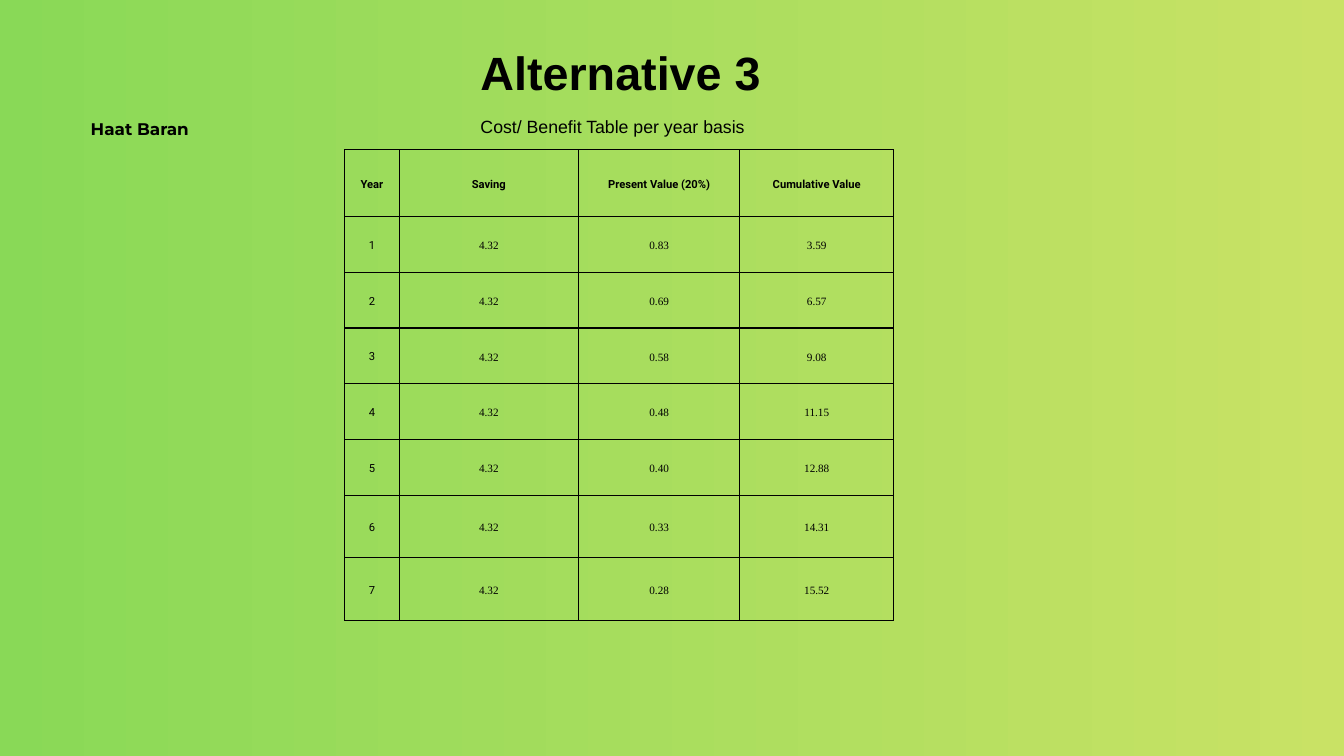
from dataclasses import dataclass

from lxml import etree
from pptx import Presentation
from pptx import util as u
from pptx.dml.color import RGBColor
from pptx.enum import text
from pptx.oxml.ns import qn

WIDTH, HEIGHT = u.Inches(20), u.Inches(11.25)
BLACK = "000000"
CENTER, JUSTIFY = text.PP_ALIGN.CENTER, text.PP_ALIGN.JUSTIFY


@dataclass
class Box:
    left: float
    top: float
    width: float
    height: float

    def emu(self) -> tuple:
        return across(self.left), down(self.top), across(self.width), down(self.height)


@dataclass
class Style:
    font: str
    size: float
    spacing: float
    align: text.PP_ALIGN
    bold: bool = False


NAME = Style("Montserrat", 18, 25.1, CENTER, True)
TITLE = Style("Arial", 50, 70, JUSTIFY, True)
SUBTITLE = Style("Arial", 19, 26.6, JUSTIFY)
HEADER = Style("Roboto", 12, 16.8, CENTER, True)
YEAR = Style("Roboto", 12, 16.8, CENTER)
VALUE = Style("Times New Roman", 12, 16.8, CENTER)

COLUMNS = [4.05, 13.35, 12, 11.45]
ROWS = [8.8] + [7.38] * 5 + [8.27] * 2
HEADINGS = ["Year", "Saving", "Present Value (20%)", "Cumulative Value"]
SAVING = "4.32"
YEARS = [
    ("0.83", "3.59"),
    ("0.69", "6.57"),
    ("0.58", "9.08"),
    ("0.48", "11.15"),
    ("0.40", "12.88"),
    ("0.33", "14.31"),
    ("0.28", "15.52"),
]


def across(percent: float) -> int:
    return round(WIDTH * percent / 100)


def down(percent: float) -> int:
    return round(HEIGHT * percent / 100)


def color(value: str) -> RGBColor:
    return RGBColor.from_string(value)


def set_all(target, values: dict) -> None:
    for key, value in values.items():
        setattr(target, key, value)


def write(tf, words: str, style: Style) -> None:
    p = tf.paragraphs[0]
    set_all(p, {"alignment": style.align, "line_spacing": u.Pt(style.spacing),
                "space_before": u.Pt(0), "space_after": u.Pt(0)})
    r = p.add_run()
    r.text = words
    set_all(r.font, {"name": style.font, "size": u.Pt(style.size), "bold": style.bold})
    r.font.color.rgb = color(BLACK)


def fill_text_shape(sp, box: Box, words: str, style: Style) -> None:
    set_all(sp, dict(zip(("left", "top", "width", "height"), box.emu())))
    tf = sp.text_frame
    set_all(tf, {"margin_left": 0, "margin_top": 0, "margin_right": 0, "margin_bottom": 0,
                 "word_wrap": True, "vertical_anchor": text.MSO_ANCHOR.TOP,
                 "auto_size": text.MSO_AUTO_SIZE.SHAPE_TO_FIT_TEXT})
    write(tf, words, style)


def add_label(s, box: Box, words: str, style: Style) -> None:
    fill_text_shape(s.shapes.add_textbox(*box.emu()), box, words, style)


def add_borders(cell, points: float) -> None:
    pr = cell._tc.get_or_add_tcPr()
    for i, side in enumerate(("lnL", "lnR", "lnT", "lnB")):
        ln = etree.Element(qn(f"a:{side}"), w=str(u.Pt(points)))
        fill = etree.SubElement(ln, qn("a:solidFill"))
        etree.SubElement(fill, qn("a:srgbClr"), val=BLACK)
        pr.insert(i, ln)


def add_cost_table(s, left: float, top: float) -> None:
    box = Box(left, top, sum(COLUMNS), sum(ROWS))
    table = s.shapes.add_table(len(ROWS), len(COLUMNS), *box.emu()).table
    set_all(table, {"first_row": False, "horz_banding": False})
    for column, width in zip(table.columns, COLUMNS):
        column.width = across(width)
    for row, height in zip(table.rows, ROWS):
        row.height = down(height)
    lines = [HEADINGS] + [[str(n), SAVING, *values] for n, values in enumerate(YEARS, 1)]
    margin = u.Inches(0.12)
    for i, line in enumerate(lines):
        for j, words in enumerate(line):
            cell = table.cell(i, j)
            set_all(cell, {"margin_left": margin, "margin_top": margin,
                           "margin_right": margin, "margin_bottom": margin,
                           "vertical_anchor": text.MSO_ANCHOR.MIDDLE})
            cell.fill.background()
            add_borders(cell, 1.5)
            write(cell.text_frame, words, HEADER if i == 0 else VALUE if j else YEAR)


def paint_background(s, start: str, end: str) -> None:
    fill = s.background.fill
    fill.gradient()
    fill.gradient_angle = 0
    for stop, position, value in zip(fill.gradient_stops, (0, 1), (start, end)):
        stop.position = position
        stop.color.rgb = color(value)


def main() -> None:
    prs = Presentation()
    set_all(prs, {"slide_width": WIDTH, "slide_height": HEIGHT})
    s = prs.slides.add_slide(prs.slide_layouts[5])
    paint_background(s, "89D957", "C9E265")
    add_label(s, Box(5.6, 15.29, 9.6, 2.93), "Haat Baran", NAME)
    fill_text_shape(s.shapes.title, Box(35.75, 4.62, 62.4, 9.6), "Alternative 3", TITLE)
    add_cost_table(s, 25.65, 19.82)
    add_label(s, Box(35.75, 14.84, 22.1, 3.64), "Cost/ Benefit Table per year basis", SUBTITLE)
    prs.save("out.pptx")


if __name__ == "__main__":
    main()
